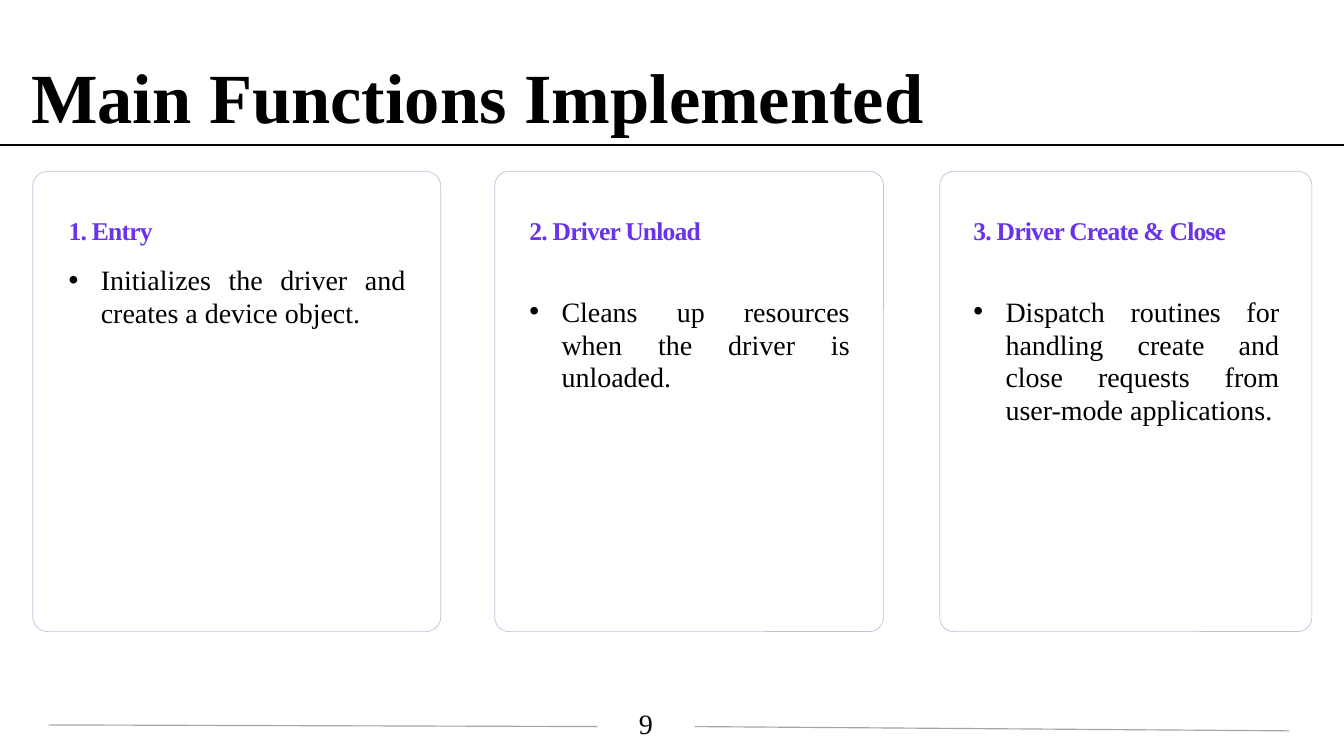
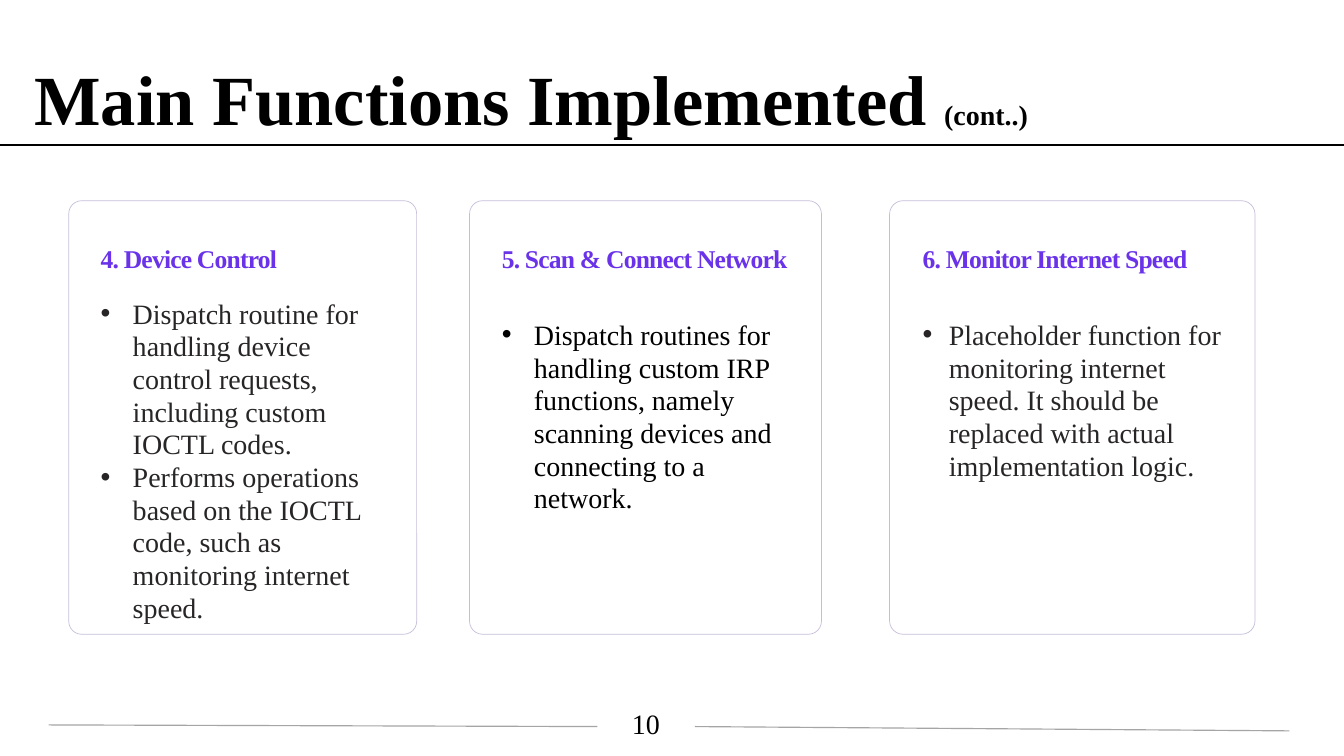
"""Build two slides presenting the main functions of a driver as cards."""
from lxml.etree import SubElement
from pptx import Presentation
from pptx.dml.color import RGBColor
from pptx.enum.shapes import MSO_CONNECTOR, MSO_SHAPE
from pptx.enum.text import MSO_ANCHOR, MSO_AUTO_SIZE, PP_ALIGN
from pptx.oxml.ns import qn
from pptx.util import Cm, Pt

COLOURS = {
    "black": "000000",
    "charcoal": "272525",
    "purple": "6A33E9",
    "lilac": "C6BDDA",
    "grey": "A5A5A5",
}
FONT = "Times New Roman"
RULES = [
    (0, 4.39, 40.64, 4.39, "black", 1.5),
    (1.47, 21.92, 18.06, 21.97, "grey", 1),
    (21.01, 21.97, 38.99, 22.1, "grey", 1),
]
SLIDES = [
    {
        "number": "9",
        "title": [("Main Functions Implemented", 60.4)],
        "title_box": (0.69, 1.37, 27.58, 3.18),
        "card_top": 5.18,
        "card_height": 13.92,
        "heading_top": 6.35,
        "alignment": PP_ALIGN.JUSTIFY,
        "cards": [
            (0.99, 12.34, "1. Entry", 7.85, 10.49, 0.97, "black",
             ["Initializes the driver and creates a device object."]),
            (14.96, 11.76, "2. Driver Unload", 8.81, 9.09, 0.97, "black",
             ["Cleans up resources when the driver is unloaded."]),
            (28.42, 11.25, "3. Driver Create & Close", 8.81, 7.29, 0.97, "black",
             ["Dispatch routines for handling create and close requests "
              "from user-mode applications."]),
        ],
    },
    {
        "number": "10",
        "title": [("Main Functions Implemented ", 60.4), ("(cont..)", 24)],
        "title_box": (0.79, 1.42, 33.71, 3.18),
        "card_top": 6.07,
        "card_height": 13.11,
        "heading_top": 7.19,
        "alignment": PP_ALIGN.LEFT,
        "cards": [
            (2.08, 10.52, "4. Device Control", 8.86, 9.8, 0.97, "charcoal",
             ["Dispatch routine for handling device control requests, "
              "including custom IOCTL codes.",
              "Performs operations based on the IOCTL code, such as "
              "monitoring internet speed."]),
            (14.2, 10.64, "5. Scan & Connect Network", 9.5, 8.59, 0.97, "black",
             ["Dispatch routines for handling custom IRP functions, namely "
              "scanning devices and connecting to a network."]),
            (26.9, 11.05, "6. Monitor Internet Speed", 9.5, 6.86, 0.79, "charcoal",
             ["Placeholder function for monitoring internet speed. It should "
              "be replaced with actual implementation logic."]),
        ],
    },
]


def add_text(slide, box, texts, size, colour, alignment=PP_ALIGN.LEFT,
             line_height=None, indent=0, bold=False, wrap=True):
    """Add a text box with one paragraph per text, bulleted when indented."""
    frame = slide.shapes.add_textbox(*map(Cm, box)).text_frame
    frame.word_wrap = wrap
    frame.text = "\n".join(texts)
    for paragraph in frame.paragraphs:
        paragraph.alignment = alignment
        if line_height:
            paragraph.line_spacing = Pt(line_height)
        if indent:
            properties = paragraph._p.get_or_add_pPr()
            properties.set("marL", str(Cm(indent)))
            properties.set("indent", str(-Cm(indent)))
            SubElement(properties, qn("a:buFont"), typeface="Arial")
            SubElement(properties, qn("a:buChar"), char="•")
        paragraph.font.name = FONT
        paragraph.font.size = Pt(size)
        paragraph.font.bold = bold
        paragraph.font.color.rgb = RGBColor.from_string(COLOURS[colour])
    return frame


presentation = Presentation()
presentation.slide_width = Cm(40.64)
presentation.slide_height = Cm(22.86)

for content in SLIDES:
    slide = presentation.slides.add_slide(presentation.slide_layouts[5])

    title = slide.shapes.title
    title.left, title.top, title.width, title.height = map(Cm, content["title_box"])
    title.text_frame.auto_size = MSO_AUTO_SIZE.NONE
    title.text_frame.vertical_anchor = MSO_ANCHOR.TOP
    paragraph = title.text_frame.paragraphs[0]
    paragraph.alignment = PP_ALIGN.LEFT
    paragraph.line_spacing = Pt(75.5)
    paragraph.font.name = FONT
    paragraph.font.bold = True
    paragraph.font.color.rgb = RGBColor.from_string(COLOURS["black"])
    for text, size in content["title"]:
        run = paragraph.add_run()
        run.text = text
        run.font.size = Pt(size)

    for start_x, start_y, end_x, end_y, colour, weight in RULES:
        rule = slide.shapes.add_connector(
            MSO_CONNECTOR.STRAIGHT, Cm(start_x), Cm(start_y), Cm(end_x), Cm(end_y))
        rule.line.color.rgb = RGBColor.from_string(COLOURS[colour])
        rule.line.width = Pt(weight)
        SubElement(rule._element.spPr, qn("a:effectLst"))

    add_text(slide, (18.49, 21.23, 2.08, 1.6), [content["number"]], 24, "black",
             PP_ALIGN.CENTER)

    for left, width, heading, body_top, body_height, indent, colour, points in content["cards"]:
        card = slide.shapes.add_shape(
            MSO_SHAPE.ROUNDED_RECTANGLE, Cm(left), Cm(content["card_top"]),
            Cm(width), Cm(content["card_height"]))
        card.adjustments[0] = 0.037
        card.shadow.inherit = False
        card.fill.background()
        card.line.color.rgb = RGBColor.from_string(COLOURS["lilac"])
        card.line.width = Pt(0.6)

        text_left = left + width * 6.8 / 100
        text_width = width * 86.6 / 100
        heading_frame = add_text(
            slide, (text_left, content["heading_top"], text_width, 1.7), [heading],
            21.9, "purple", line_height=27.3, bold=True, wrap=False)
        heading_properties = heading_frame.paragraphs[0]._p.get_or_add_pPr()
        heading_properties.get_or_add_defRPr().set("spc", "-70")
        add_text(slide, (text_left, body_top, text_width, body_height), points,
                 24, colour, content["alignment"], line_height=28, indent=indent)

presentation.save("out.pptx")
